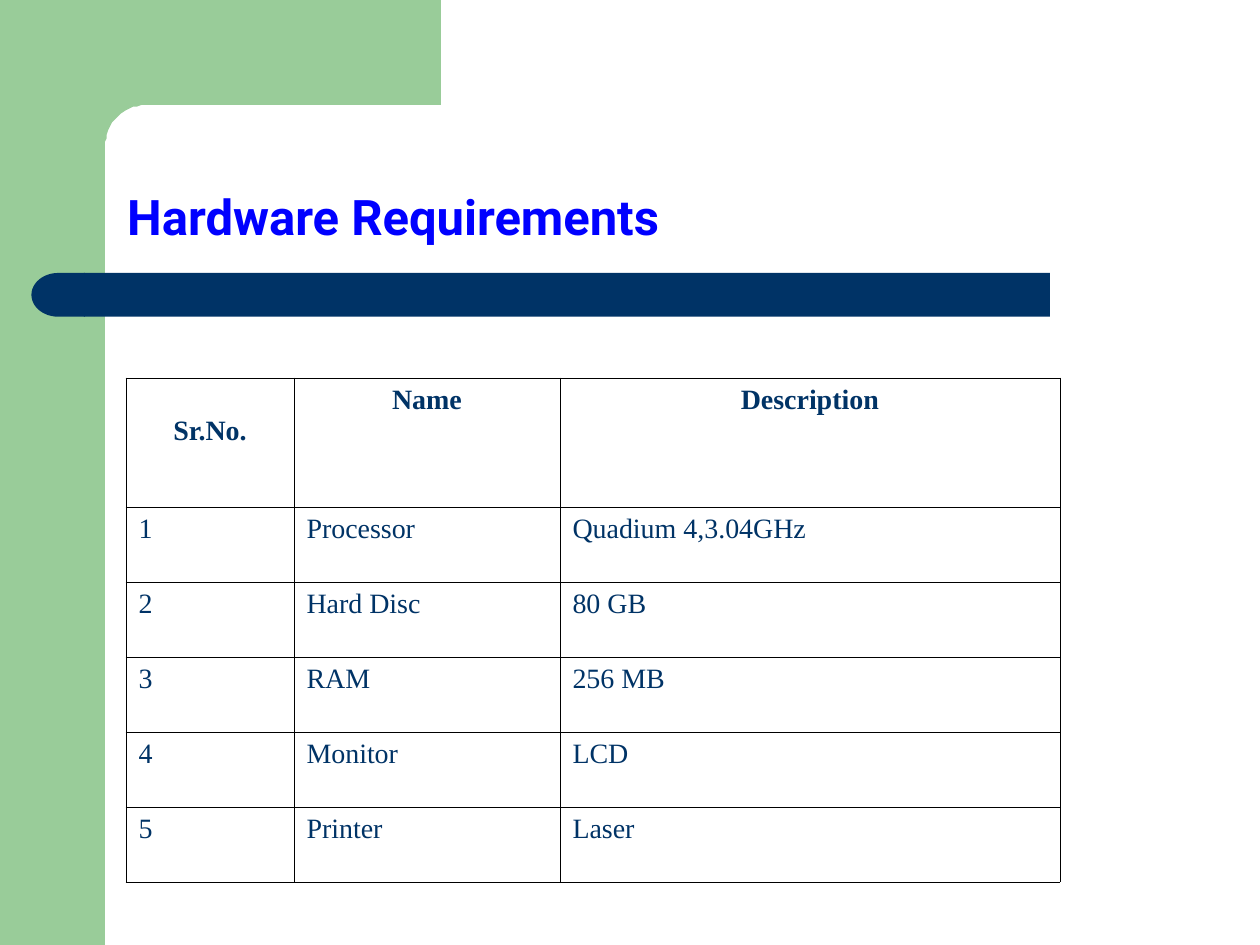
import math

from lxml import etree
from pptx import Presentation
from pptx.dml.color import RGBColor
from pptx.enum import shapes, text
from pptx.oxml import ns
from pptx.util import Pt

GREEN = RGBColor(0x99, 0xCC, 0x99)
NAVY = RGBColor(0x00, 0x33, 0x66)
BLUE = RGBColor(0x00, 0x00, 0xFF)
BLACK = RGBColor(0x00, 0x00, 0x00)

HEADERS = ("Sr.No.", "Name", "Description")
HARDWARE = (
    ("Processor", "Quadium 4,3.04GHz"),
    ("Hard Disc", "80 GB"),
    ("RAM", "256 MB"),
    ("Monitor", "LCD"),
    ("Printer", "Laser"),
)
COLUMN_WIDTHS = (96, 152, 285.7)
HEADER_HEIGHT = 73.7
ROW_HEIGHT = 42.86


def set_values(target, values):
    for name, value in values.items():
        setattr(target, name, value)


def paint(shape, color):
    shape.shadow.inherit = False
    shape.fill.solid()
    shape.fill.fore_color.rgb = color
    shape.line.fill.background()


def add_block(slide, kind, left, top, width, height, color):
    shape = slide.shapes.add_shape(kind, Pt(left), Pt(top), Pt(width), Pt(height))
    paint(shape, color)
    return shape


def add_green_frame(slide, left, top, width, height):
    """Side band, and a top band with a rounded inner corner."""
    side, band, radius_x, radius_y = 60, 60, 23, 24
    add_block(slide, shapes.MSO_SHAPE.RECTANGLE, left, top, side, height, GREEN)

    center_x, center_y = left + side + radius_x, top + band + radius_y
    angles = [math.radians(degrees) for degrees in range(0, 91, 6)]
    corner = [(center_x - radius_x * math.sin(angle),
               center_y - radius_y * math.cos(angle)) for angle in angles]
    start_x, bottom = left + 36, center_y + 8
    builder = slide.shapes.build_freeform(start_x, top, scale=Pt(1))
    builder.add_line_segments(
        [(left + width, top), (left + width, top + band), *corner,
         (left + side, bottom), (start_x, bottom)], close=True)
    paint(builder.convert_to_shape(), GREEN)


def add_navy_bar(slide, left, top, width, height):
    """Bar with a round left end."""
    cap = 30.6
    add_block(slide, shapes.MSO_SHAPE.RECTANGLE,
              left + cap - 0.6, top, width - cap + 0.6, height, NAVY)
    end = add_block(slide, shapes.MSO_SHAPE.FLOWCHART_DELAY,
                    left, top, cap, height, NAVY)
    end._element.spPr.get_or_add_xfrm().set("flipH", "1")


def fill_title(slide, left, top, width, height):
    title = slide.shapes.title
    set_values(title, {"left": Pt(left), "top": Pt(top),
                       "width": Pt(width), "height": Pt(height)})
    frame = title.text_frame
    frame.text = "Hardware Requirements"
    set_values(frame, {"auto_size": text.MSO_AUTO_SIZE.NONE, "word_wrap": True,
                       "vertical_anchor": text.MSO_ANCHOR.BOTTOM})
    paragraph = frame.paragraphs[0]
    set_values(paragraph, {"alignment": text.PP_ALIGN.LEFT, "line_spacing": 0.9})
    set_values(paragraph.font, {"name": "Roboto", "size": Pt(28), "bold": True})
    paragraph.font.color.rgb = BLUE


def add_borders(cell):
    properties = cell._tc.get_or_add_tcPr()
    for side in ("a:lnL", "a:lnR", "a:lnT", "a:lnB"):
        line = etree.SubElement(properties, ns.qn(side), w=str(Pt(0.45)))
        fill = etree.SubElement(line, ns.qn("a:solidFill"))
        etree.SubElement(fill, ns.qn("a:srgbClr"), val=str(BLACK))


def fill_cell(cell, content, is_header):
    add_borders(cell)
    cell.fill.background()
    cell.text = content
    paragraph = cell.text_frame.paragraphs[0]
    paragraph.alignment = (text.PP_ALIGN.CENTER if is_header
                           else text.PP_ALIGN.JUSTIFY)
    set_values(paragraph.font, {"name": "Times New Roman", "size": Pt(16),
                                "bold": is_header})
    paragraph.font.color.rgb = NAVY


def add_hardware_table(slide, left, top):
    rows = [HEADERS] + [(str(number), *item)
                        for number, item in enumerate(HARDWARE, 1)]
    heights = [HEADER_HEIGHT] + [ROW_HEIGHT] * len(HARDWARE)
    table = slide.shapes.add_table(
        len(rows), len(HEADERS), Pt(left), Pt(top),
        Pt(sum(COLUMN_WIDTHS)), Pt(sum(heights))).table
    set_values(table, {"first_row": False, "horz_banding": False})
    for column, width in zip(table.columns, COLUMN_WIDTHS):
        column.width = Pt(width)
    for index, (row, height, contents) in enumerate(zip(table.rows, heights, rows)):
        row.height = Pt(height)
        for cell, content in zip(row.cells, contents):
            fill_cell(cell, content, is_header=index == 0)
    # The first heading sits one line lower than its neighbours.
    table.cell(0, 0).margin_top = Pt(21.6)


def main():
    presentation = Presentation()
    set_values(presentation, {"slide_width": Pt(720), "slide_height": Pt(540)})
    slide = presentation.slides.add_slide(presentation.slide_layouts[5])
    add_green_frame(slide, 0, 0, 252, 540)
    add_navy_bar(slide, 18, 156, 582, 25)
    add_hardware_table(slide, 72, 216)
    fill_title(slide, 65.5, 65.5, 612.7, 78.5)
    presentation.save("out.pptx")


if __name__ == "__main__":
    main()
